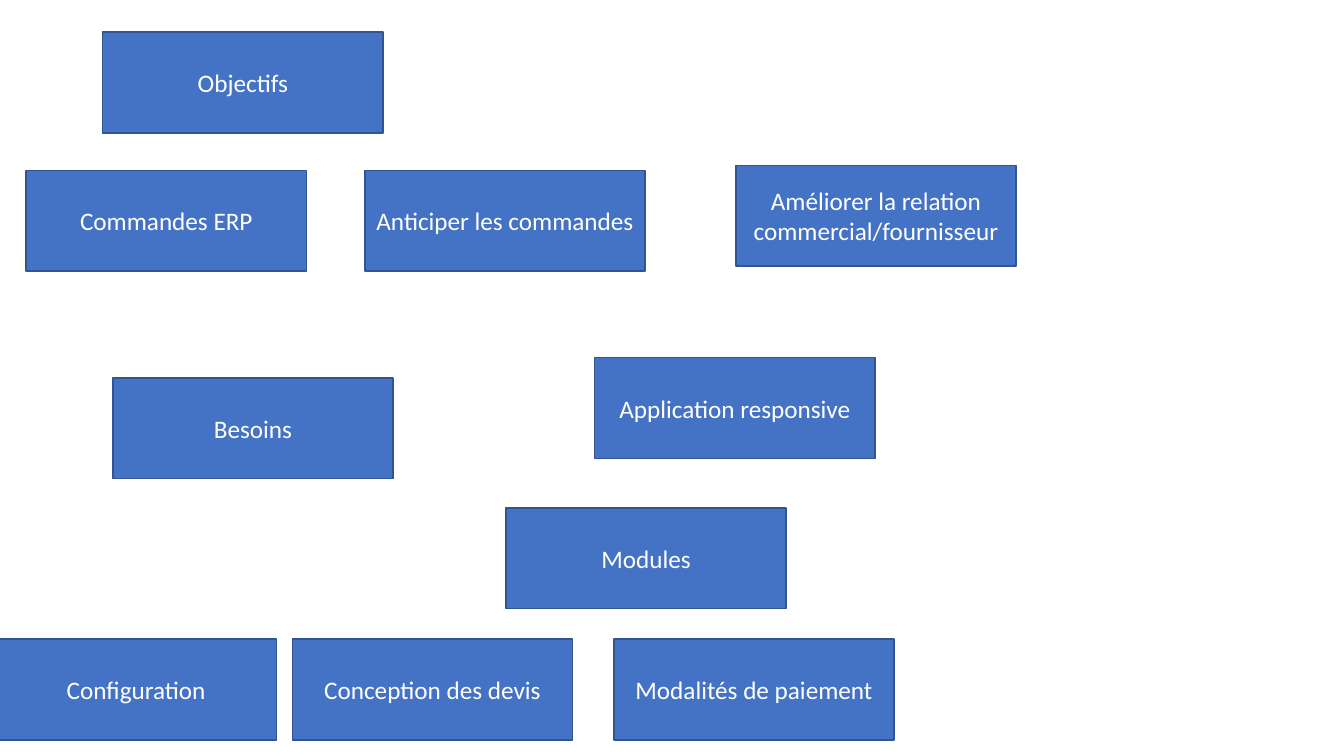
"""Build a slide of labelled boxes for objectives, needs and modules."""
import dataclasses

import pptx
import pptx.dml.color
import pptx.enum.shapes
import pptx.enum.text
import pptx.util

Pt = pptx.util.Pt
RGB = pptx.dml.color.RGBColor.from_string


@dataclasses.dataclass(frozen=True)
class Theme:
    fill: str = "4472C4"
    line: str = "325491"
    text: str = "FFFFFF"
    font: str = "Calibri"
    size: float = 18
    line_width: float = 1
    box_width: float = 200.2
    box_height: float = 72


class Board:
    def __init__(self, s, theme):
        self.s = s
        self.theme = theme

    def box(self, text, left, top):
        t = self.theme
        sp = self.s.shapes.add_shape(
            pptx.enum.shapes.MSO_SHAPE.RECTANGLE,
            Pt(left), Pt(top), Pt(t.box_width), Pt(t.box_height))
        sp.shadow.inherit = False
        sp.fill.solid()
        sp.fill.fore_color.rgb = RGB(t.fill)
        sp.line.color.rgb = RGB(t.line)
        sp.line.width = Pt(t.line_width)
        tf = sp.text_frame
        tf.text = text
        tf.word_wrap = True
        tf.vertical_anchor = pptx.enum.text.MSO_ANCHOR.MIDDLE
        p = tf.paragraphs[0]
        p.alignment = pptx.enum.text.PP_ALIGN.CENTER
        r = p.runs[0]
        r.font.name = t.font
        r.font.size = Pt(t.size)
        r.font.color.rgb = RGB(t.text)

    def row(self, top, boxes):
        for text, left in boxes:
            self.box(text, left, top)


prs = pptx.Presentation()
prs.slide_width, prs.slide_height = Pt(960), Pt(540)
board = Board(prs.slides.add_slide(prs.slide_layouts[6]), Theme())

board.box("Objectifs", 73.4, 23)
board.box("Besoins", 80.6, 270)
board.box("Application responsive", 424.8, 255.6)
board.box("Modules", 361.4, 362.9)
board.row(456.5, [("Configuration", -2.9),
                  ("Conception des devis", 208.8),
                  ("Modalités de paiement", 438.5)])
board.row(121.7, [("Commandes ERP", 18.7),
                  ("Anticiper les commandes", 260.6)])
board.box("Améliorer la relation commercial/fournisseur", 525.6, 118.1)

prs.save("out.pptx")
